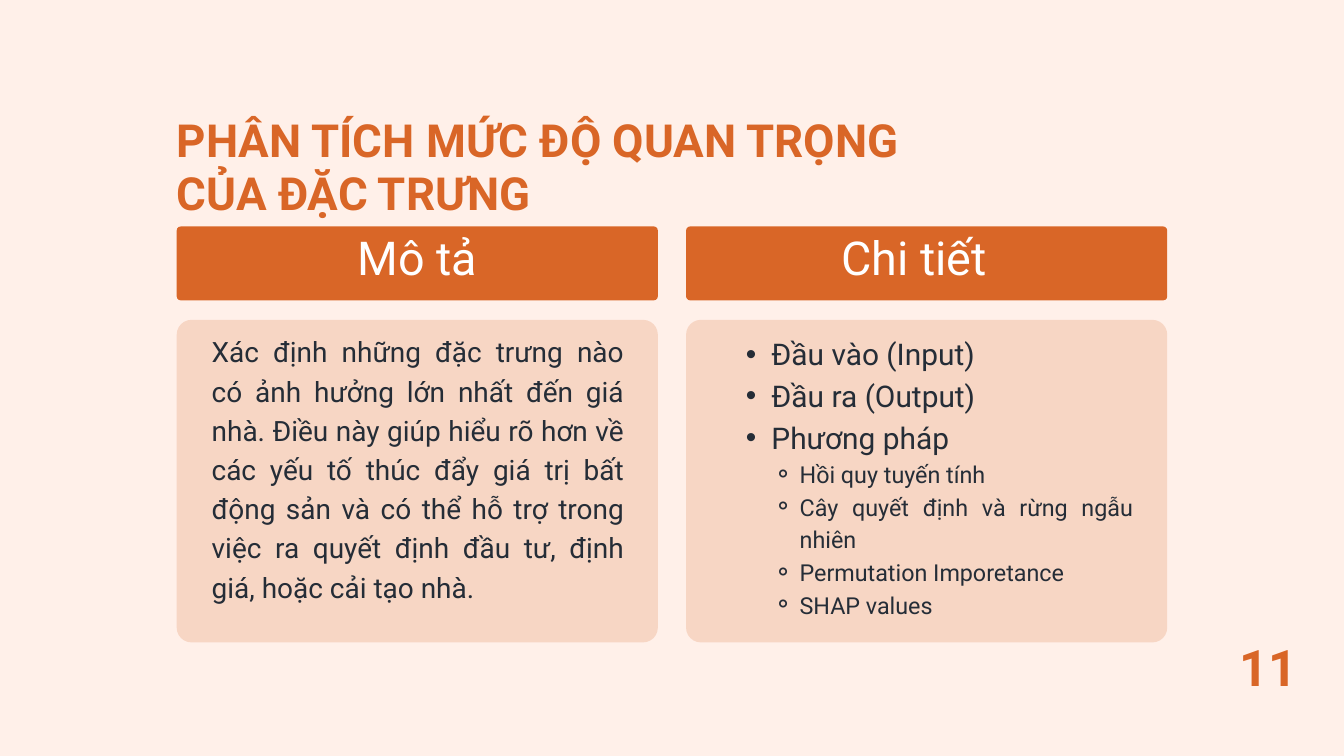
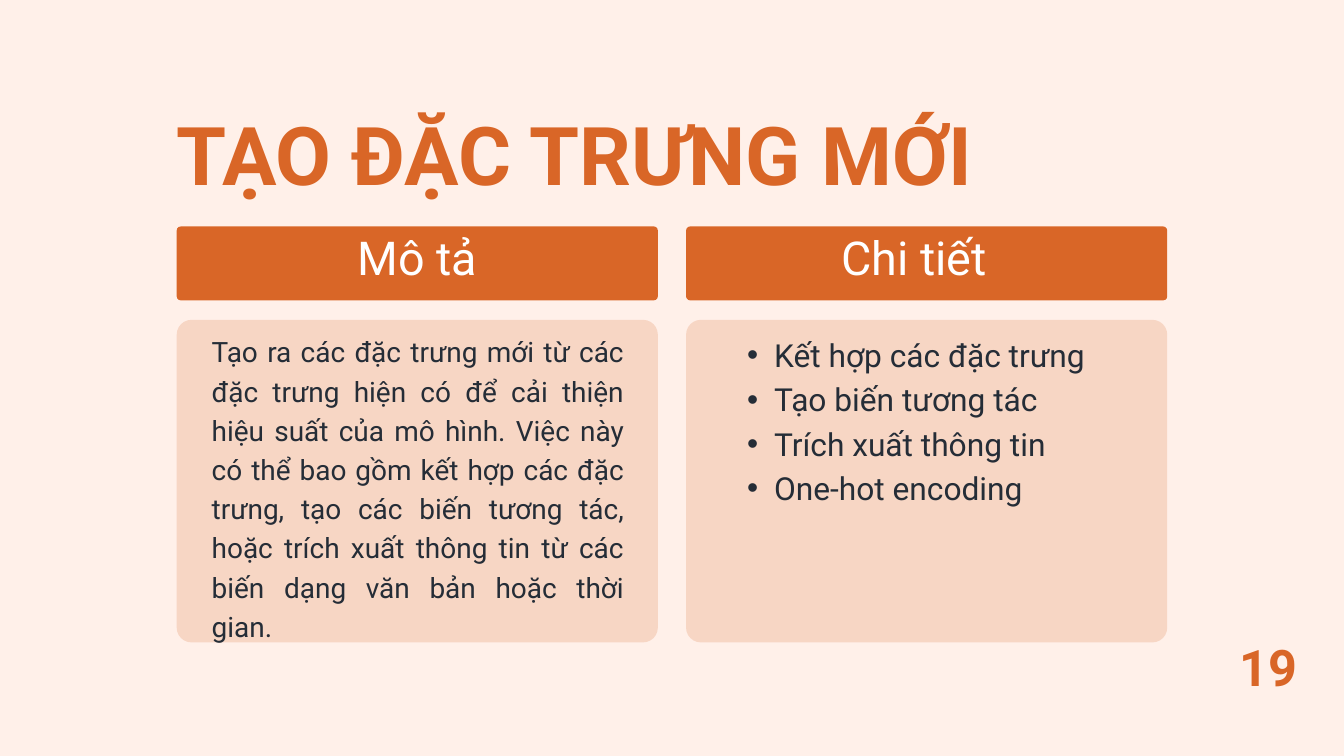
from dataclasses import dataclass

from lxml.etree import SubElement
from pptx import Presentation
from pptx.dml.color import RGBColor
from pptx.enum.shapes import MSO_SHAPE
from pptx.enum.text import MSO_ANCHOR, MSO_AUTO_SIZE, PP_ALIGN
from pptx.oxml.ns import qn
from pptx.slide import Slide
from pptx.util import Inches, Pt


@dataclass(frozen=True)
class Theme:
    font: str = "Roboto"
    background: RGBColor = RGBColor(0xFF, 0xF0, 0xE9)
    accent: RGBColor = RGBColor(0xD9, 0x66, 0x27)
    ink: RGBColor = RGBColor(0x25, 0x2D, 0x37)
    white: RGBColor = RGBColor(0xFF, 0xFF, 0xFF)
    panel_opacity: int = 19
    heading_size: float = 50
    body_size: float = 30
    number_size: float = 54
    body_spacing: float = 1.4
    label_spacing: float = 0.8


THEME = Theme()


@dataclass(frozen=True)
class Area:
    left: float
    top: float
    width: float
    height: float


@dataclass(frozen=True)
class Line:
    text: str
    size: float
    spacing: float
    color: RGBColor = THEME.ink
    bold: bool = False
    align: PP_ALIGN = PP_ALIGN.JUSTIFY
    level: int = 0
    bullet: str = ""
    margin: float = 0
    hanging: float = 0


@dataclass(frozen=True)
class Column:
    heading: str
    left: float
    heading_area: Area


@dataclass(frozen=True)
class Topic:
    title: list[Line]
    title_area: Area
    description: str
    description_height: float
    details: list[Line]
    details_area: Area
    number: int


# Shared layout of the two columns
COLUMN_WIDTH = 7.16
BAND_TOP, BAND_HEIGHT, BAND_RADIUS = 3.37, 1.1, 0.06
PANEL_TOP, PANEL_HEIGHT, PANEL_RADIUS = 4.76, 4.8, 0.22
COLUMNS = [
    Column("Mô tả", 2.63, Area(3.66, 3.69, 5.11, 0.64)),
    Column("Chi tiết", 10.21, Area(11, 3.69, 5.21, 0.64)),
]
NUMBER_AREA = Area(18.29, 9.77, 1.16, 0.69)


def title_line(text: str, size: float, spacing: float) -> Line:
    return Line(text, size, spacing, THEME.accent, True, PP_ALIGN.LEFT)


def label_line(text: str, size: float, color: RGBColor, bold: bool = False) -> Line:
    return Line(text, size, size * THEME.label_spacing, color, bold, PP_ALIGN.CENTER)


def body_line(text: str, size: float = THEME.body_size) -> Line:
    return Line(text, size, size * THEME.body_spacing)


def bullet_line(text: str, size: float, hanging: float) -> Line:
    return Line(text, size, size * THEME.body_spacing, level=1, bullet="•",
                margin=2 * hanging, hanging=hanging)


def sub_bullet_line(text: str, size: float = 25) -> Line:
    return Line(text, size, size * THEME.body_spacing, level=2, bullet="⚬",
                margin=1.18, hanging=0.39)


def add_rounded_box(page: Slide, area: Area, radius: float, opacity: int = 100) -> None:
    box = page.shapes.add_shape(
        MSO_SHAPE.ROUNDED_RECTANGLE, Inches(area.left), Inches(area.top),
        Inches(area.width), Inches(area.height))
    box.adjustments[0] = radius / min(area.width, area.height)
    box.shadow.inherit = False
    box.line.fill.background()
    box.fill.solid()
    box.fill.fore_color.rgb = THEME.accent
    if opacity < 100:
        color = box.fill._xPr.find(qn("a:solidFill")).find(qn("a:srgbClr"))
        SubElement(color, qn("a:alpha")).set("val", str(opacity * 1000))


def add_text(page: Slide, area: Area, lines: list[Line]) -> None:
    box = page.shapes.add_textbox(
        Inches(area.left), Inches(area.top), Inches(area.width), Inches(area.height))
    frame = box.text_frame
    frame.word_wrap = True
    frame.auto_size = MSO_AUTO_SIZE.SHAPE_TO_FIT_TEXT
    frame.vertical_anchor = MSO_ANCHOR.TOP
    frame.margin_left = frame.margin_top = frame.margin_right = frame.margin_bottom = 0
    frame.text = "\n".join(line.text for line in lines)
    for para, line in zip(frame.paragraphs, lines):
        para.alignment = line.align
        para.level = line.level
        para.line_spacing = Pt(line.spacing)
        if line.bullet:
            properties = para._p.get_or_add_pPr()
            properties.set("marL", str(Inches(line.margin)))
            properties.set("indent", str(-Inches(line.hanging)))
            SubElement(properties, qn("a:buFont")).set("typeface", "Arial")
            SubElement(properties, qn("a:buChar")).set("char", line.bullet)
        for span in para.runs:
            span.font.name = THEME.font
            span.font.size = Pt(line.size)
            span.font.bold = line.bold
            span.font.color.rgb = line.color


def add_topic(page: Slide, topic: Topic) -> None:
    # Title
    add_text(page, topic.title_area, topic.title)

    # Heading bands and panels
    for column in COLUMNS:
        add_rounded_box(page, Area(column.left, PANEL_TOP, COLUMN_WIDTH, PANEL_HEIGHT),
                        PANEL_RADIUS, THEME.panel_opacity)
        add_rounded_box(page, Area(column.left, BAND_TOP, COLUMN_WIDTH, BAND_HEIGHT),
                        BAND_RADIUS)
        add_text(page, column.heading_area,
                 [label_line(column.heading, THEME.heading_size, THEME.white)])

    # Panel contents
    add_text(page, Area(3.15, 4.9, 6.14, topic.description_height),
             [body_line(topic.description)])
    add_text(page, topic.details_area, topic.details)

    # Page number
    add_text(page, NUMBER_AREA,
             [label_line(str(topic.number), THEME.number_size, THEME.accent, True)])


TOPICS = [
    Topic(
        title=[title_line(text, 48.8, 56.6)
               for text in ("PHÂN TÍCH MỨC ĐỘ QUAN TRỌNG", "CỦA ĐẶC TRƯNG")],
        title_area=Area(2.63, 1.7, 14.73, 1.58),
        description="Xác định những đặc trưng nào có ảnh hưởng lớn nhất đến giá nhà. "
                    "Điều này giúp hiểu rõ hơn về các yếu tố thúc đẩy giá trị bất động sản "
                    "và có thể hỗ trợ trong việc ra quyết định đầu tư, định giá, "
                    "hoặc cải tạo nhà.",
        description_height=4.67,
        details=[
            *(bullet_line(text, 32, 0.38)
              for text in ("Đầu vào (Input)", "Đầu ra (Output)", "Phương pháp")),
            *(sub_bullet_line(text)
              for text in ("Hồi quy tuyến tính", "Cây quyết định và rừng ngẫu nhiên",
                           "Permutation Imporetance", "SHAP values")),
        ],
        details_area=Area(10.72, 4.91, 6.14, 4.23),
        number=11,
    ),
    Topic(
        title=[title_line("TẠO ĐẶC TRƯNG MỚI", 86.8, 69.5)],
        title_area=Area(2.63, 2.04, 14.43, 1.09),
        description="Tạo ra các đặc trưng mới từ các đặc trưng hiện có để cải thiện "
                    "hiệu suất của mô hình. Việc này có thể bao gồm kết hợp các đặc trưng, "
                    "tạo các biến tương tác, hoặc trích xuất thông tin từ các biến dạng "
                    "văn bản hoặc thời gian.",
        description_height=4.08,
        details=[bullet_line(text, 34, 0.4)
                 for text in ("Kết hợp các đặc trưng", "Tạo biến tương tác",
                              "Trích xuất thông tin", "One-hot encoding")],
        details_area=Area(10.72, 4.9, 6.14, 2.61),
        number=19,
    ),
]


def main() -> None:
    deck = Presentation()
    deck.slide_width, deck.slide_height = Inches(20), Inches(11.25)
    background = deck.slide_master.background.fill
    background.solid()
    background.fore_color.rgb = THEME.background
    for topic in TOPICS:
        add_topic(deck.slides.add_slide(deck.slide_layouts[6]), topic)
    deck.save("out.pptx")


if __name__ == "__main__":
    main()
